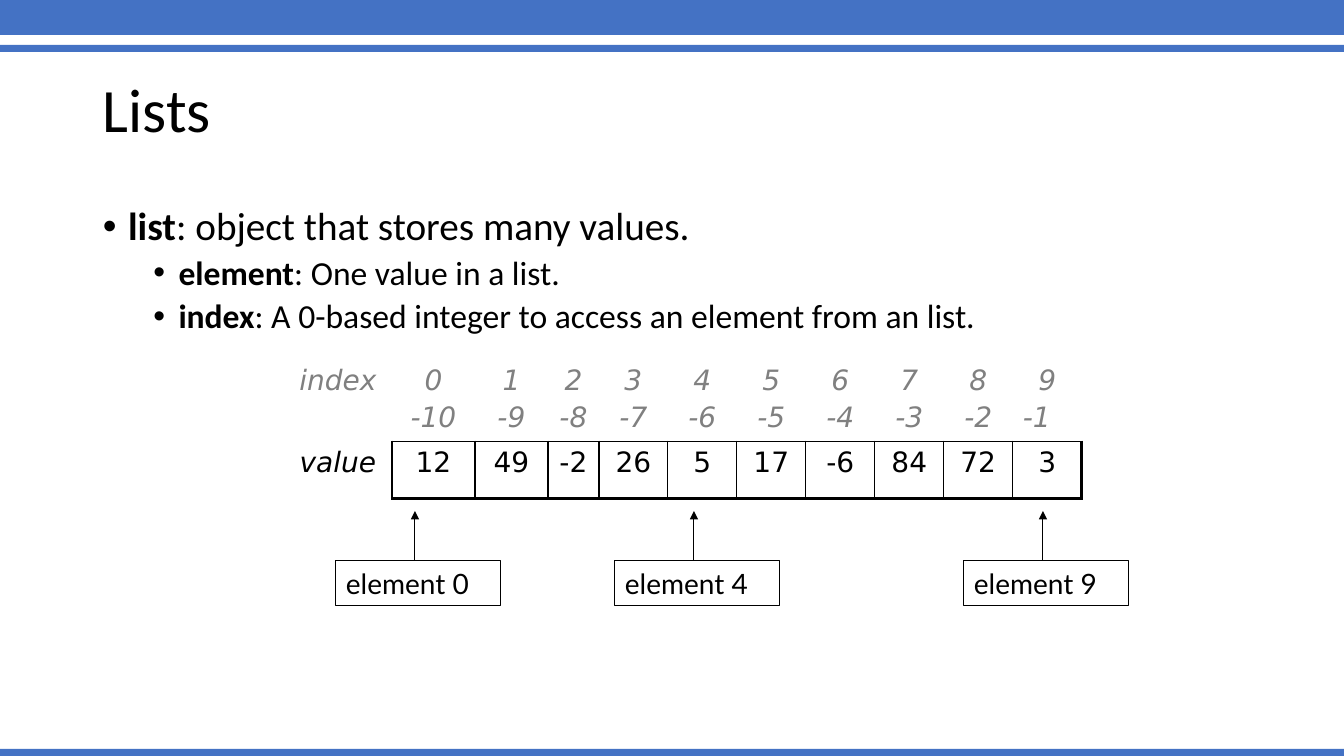
"""Build the slide that explains lists, elements and indexes."""
from lxml.etree import SubElement
from pptx import Presentation
from pptx.dml.color import RGBColor
from pptx.enum.shapes import MSO_CONNECTOR, MSO_SHAPE
from pptx.enum.text import MSO_ANCHOR, PP_ALIGN
from pptx.oxml import parse_xml
from pptx.oxml.ns import nsdecls, qn
from pptx.util import Pt

PX = 914400 / 100.8
BLACK, GRAY, BLUE = "000000", "808080", "4472C4"


def color(code):
    return RGBColor.from_string(code)


def write(para, text, size, font="Calibri", ink=BLACK, bold=False, italic=False):
    span = para.add_run()
    span.text = text
    span.font.size = Pt(size)
    span.font.name = font
    span.font.bold = bold
    span.font.italic = italic
    span.font.color.rgb = color(ink)


deck = Presentation()
deck.slide_width, deck.slide_height = round(1344 * PX), round(756 * PX)
page = deck.slides.add_slide(deck.slide_layouts[6])
shapes = page.shapes

for top, height in [(-3, 38), (45, 7), (749, 7)]:
    band = shapes.add_shape(MSO_SHAPE.RECTANGLE, 0, round(top * PX), deck.slide_width, round(height * PX))
    band.shadow.inherit = False
    band.fill.solid()
    band.fill.fore_color.rgb = color(BLUE)
    band.line.fill.background()

title = shapes.add_textbox(*[round(length * PX) for length in (93, 40, 1159, 146)]).text_frame
title.word_wrap = True
title.vertical_anchor = MSO_ANCHOR.MIDDLE
title.paragraphs[0].line_spacing = 0.9
write(title.paragraphs[0], "Lists", 44)

body = shapes.add_textbox(*[round(length * PX) for length in (93, 202, 1159, 479)]).text_frame
body.word_wrap = True
definitions = [
    ("list", ": object that stores many values.", 28, 0),
    ("element", ": One value in a list.", 24, 1),
    ("index", ": A 0-based integer to access an element from an list.", 24, 1),
]
for number, (term, meaning, size, level) in enumerate(definitions):
    para = body.add_paragraph() if number else body.paragraphs[0]
    para.level = level
    para.line_spacing = 0.9
    para.space_before = Pt(5 * level)
    properties = para._p.get_or_add_pPr()
    properties.set("marL", str(228600 + 457200 * level))
    properties.set("indent", "-228600")
    SubElement(properties, qn("a:buFont"), typeface="Arial")
    SubElement(properties, qn("a:buChar"), char="•")
    write(para, term, size, bold=True)
    write(para, meaning, size)

values = [12, 49, -2, 26, 5, 17, -6, 84, 72, 3]
count = len(values)
widths = [108, 83, 73, 51] + [69] * 7
heights = [80, 57]
rows = [
    [["index"]] + [[str(index), str(index - count)] for index in range(count)],
    [["value"]] + [[str(value)] for value in values],
]
frame = shapes.add_table(2, count + 1, *[round(length * PX) for length in (284, 359, sum(widths), sum(heights))])
table = frame.table
table.first_row = table.horz_banding = False
for column, width in zip(table.columns, widths):
    column.width = round(width * PX)
for row, height in zip(table.rows, heights):
    row.height = round(height * PX)

for row_number, row in enumerate(rows):
    for column_number, lines in enumerate(row):
        cell = table.cell(row_number, column_number)
        cell.fill.background()
        for line_number, text in enumerate(lines):
            para = cell.text_frame.add_paragraph() if line_number else cell.text_frame.paragraphs[0]
            para.alignment = PP_ALIGN.LEFT if text == "-1" else PP_ALIGN.CENTER
            para.space_before = Pt(3.5 * line_number)
            write(para, text, 20, font="DejaVu Sans", ink=BLACK if row_number else GRAY,
                  italic=row_number == 0 or column_number == 0)
        if row_number and column_number:
            right = 2.25 if column_number == count else 1
            borders = [("lnL", 1), ("lnR", right), ("lnT", 1), ("lnB", 2.25)]
            for place, (side, weight) in enumerate(borders):
                cell._tc.get_or_add_tcPr().insert(place, parse_xml(
                    f'<a:{side} {nsdecls("a")} w="{Pt(weight)}"><a:solidFill>'
                    f'<a:srgbClr val="{BLACK}"/></a:solidFill></a:{side}>'))

for index, center in [(0, 415), (4, 694), (9, 1043)]:
    arrow = shapes.add_connector(MSO_CONNECTOR.STRAIGHT, *[round(length * PX) for length in (center, 561, center, 511)])
    arrow.line.color.rgb = color(BLACK)
    arrow.line.width = Pt(0.75)
    SubElement(arrow.line._get_or_add_ln(), qn("a:tailEnd"), type="triangle")
    SubElement(arrow._element.spPr, qn("a:effectLst"))

    box = shapes.add_shape(MSO_SHAPE.RECTANGLE, *[round(length * PX) for length in (center - 79, 561, 165, 45)])
    box.shadow.inherit = False
    box.fill.background()
    box.line.color.rgb = color(BLACK)
    box.line.width = Pt(0.75)
    label = box.text_frame.paragraphs[0]
    label.alignment = PP_ALIGN.LEFT
    write(label, f"element {index}", 20, font="Lato")

deck.save("out.pptx")
